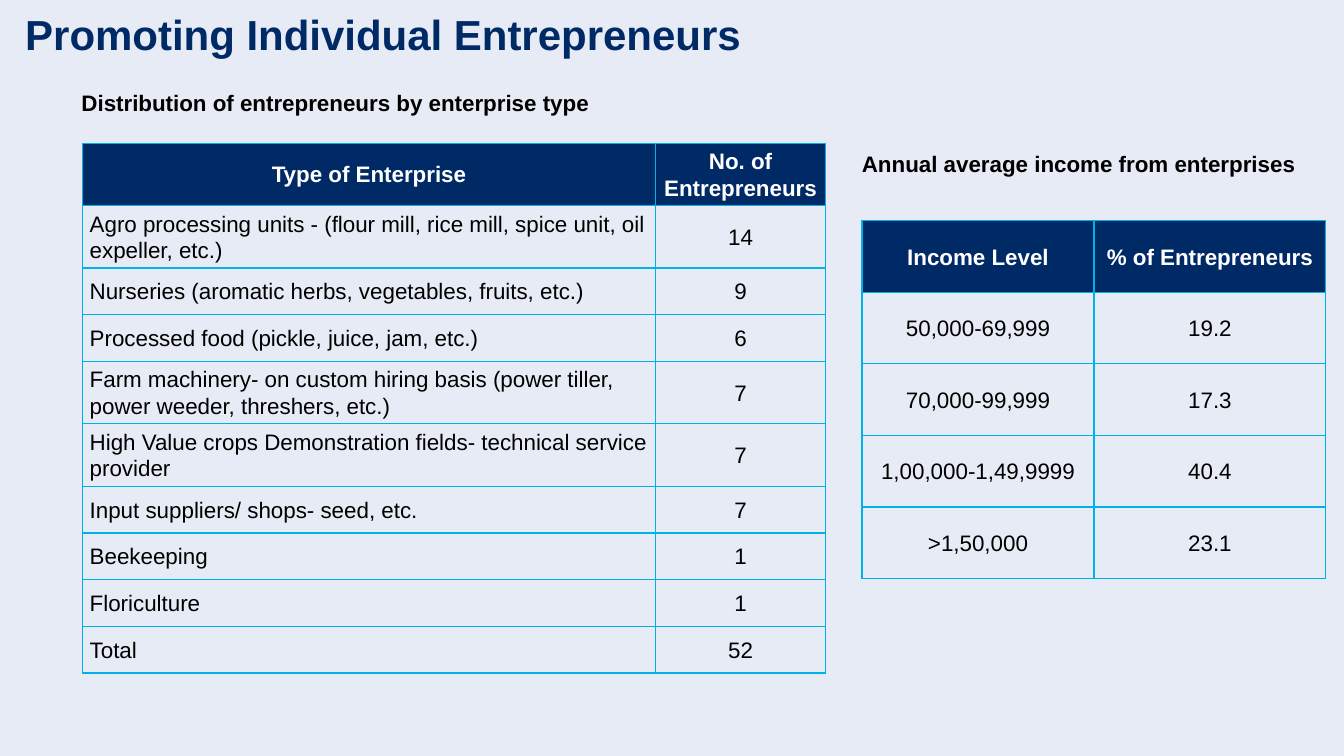
from lxml import etree
from pptx import Presentation
from pptx.dml.color import RGBColor
from pptx.enum.text import MSO_ANCHOR, MSO_AUTO_SIZE, PP_ALIGN
from pptx.oxml.ns import qn
from pptx.util import Inches, Pt

LEFT, MID = PP_ALIGN.LEFT, PP_ALIGN.CENTER
CENTRE = MSO_ANCHOR.MIDDLE
NO_FIT, GROW = MSO_AUTO_SIZE.NONE, MSO_AUTO_SIZE.SHAPE_TO_FIT_TEXT
NAVY = RGBColor(0x00, 0x2A, 0x66)
PALE = RGBColor(0xE6, 0xEB, 0xF5)
CYAN = RGBColor(0x00, 0xB1, 0xE7)
BLACK = RGBColor(0x00, 0x00, 0x00)
WHITE = RGBColor(0xFF, 0xFF, 0xFF)
FONT = "Arial"
UNIT = Inches(0.1)

TYPES = [
    ("Type of Enterprise", "No. of Entrepreneurs"),
    ("Agro processing units - (flour mill, rice mill, spice unit, oil expeller, etc.)", "14"),
    ("Nurseries (aromatic herbs, vegetables, fruits, etc.)", "9"),
    ("Processed food (pickle, juice, jam, etc.)", "6"),
    ("Farm machinery- on custom hiring basis (power tiller, power weeder, threshers, etc.)", "7"),
    ("High Value crops Demonstration fields- technical service provider", "7"),
    ("Input suppliers/ shops- seed, etc.", "7"),
    ("Beekeeping", "1"),
    ("Floriculture", "1"),
    ("Total", "52"),
]
TALL, LOW = 6.2, 4.63
TYPE_ROWS = [TALL, TALL, LOW, LOW, TALL, TALL, LOW, LOW, LOW, LOW]
INCOME = [
    ("Income Level", "% of Entrepreneurs"),
    ("50,000-69,999", "19.2"),
    ("70,000-99,999", "17.3"),
    ("1,00,000-1,49,9999", "40.4"),
    (">1,50,000", "23.1"),
]
INCOME_ROWS = [7.1] * len(INCOME)


def grid(*cells):
    """Turn grid columns and rows into slide lengths."""
    return [round(cell * UNIT) for cell in cells]


def style(frame, text, color, bold, align=LEFT, size=16, space=1.07, after=8):
    """Fill a text frame with one formatted paragraph."""
    frame.text = text
    frame.word_wrap = True
    para = frame.paragraphs[0]
    para.alignment = align
    para.line_spacing = space
    para.space_before = Pt(0)
    para.space_after = Pt(after)
    font = para.runs[0].font
    font.name, font.size, font.bold = FONT, Pt(size), bold
    font.color.rgb = color


def add_title(slide, text):
    """Place and format the title placeholder."""
    title = slide.shapes.title
    title.left, title.top, title.width, title.height = grid(1.2, 0, 108.7, 7.3)
    frame = title.text_frame
    style(frame, text, NAVY, True, size=30, space=0.9, after=0)
    frame.auto_size = NO_FIT
    frame.vertical_anchor = CENTRE
    frame.margin_left = frame.margin_right = Inches(0.13)
    frame.margin_top = frame.margin_bottom = Inches(0.13)


def add_label(slide, text, left, top, width):
    """Add a bold heading above a table."""
    box = slide.shapes.add_textbox(*grid(left, top, width, 3.7))
    style(box.text_frame, text, BLACK, True)
    box.text_frame.auto_size = GROW


def add_edges(cell):
    """Draw a thin line on each side of a cell."""
    props = cell._tc.get_or_add_tcPr()
    for spot, side in enumerate(("a:lnL", "a:lnR", "a:lnT", "a:lnB")):
        line = etree.Element(qn(side), w=str(Pt(1)))
        fill = etree.SubElement(line, qn("a:solidFill"))
        etree.SubElement(fill, qn("a:srgbClr"), val=str(CYAN))
        props.insert(spot, line)


def fill_cell(cell, text, head, align):
    """Write and format one table cell."""
    style(cell.text_frame, text, WHITE if head else BLACK, head, align)
    cell.vertical_anchor = CENTRE
    cell.margin_left = cell.margin_right = Inches(0.07)
    cell.margin_top = cell.margin_bottom = 0
    if head:
        cell.fill.solid()
        cell.fill.fore_color.rgb = NAVY
    else:
        cell.fill.background()
    add_edges(cell)


def add_grid(slide, data, left, top, cols, rows, aligns):
    """Add a table with a dark header row."""
    area = grid(left, top, sum(cols), sum(rows))
    table = slide.shapes.add_table(len(rows), len(cols), *area).table
    table.horz_banding = False
    for col, width in zip(table.columns, grid(*cols)):
        col.width = width
    for row, height in zip(table.rows, grid(*rows)):
        row.height = height
    for r, line in enumerate(data):
        for c, text in enumerate(line):
            fill_cell(table.cell(r, c), text, r == 0, aligns[c] if r else MID)


def main():
    """Build and save the slide."""
    deck = Presentation()
    deck.slide_width, deck.slide_height = Inches(13.33), Inches(7.5)
    slide = deck.slides.add_slide(deck.slide_layouts[5])
    slide.background.fill.solid()
    slide.background.fill.fore_color.rgb = PALE
    add_title(slide, "Promoting Individual Entrepreneurs")
    add_label(slide, "Distribution of entrepreneurs by enterprise type", 7.1, 8.2, 70.7)
    add_grid(slide, TYPES, 8.2, 14.2, [56.8, 16.9], TYPE_ROWS, [LEFT, MID])
    add_grid(slide, INCOME, 85.5, 21.9, [23, 23], INCOME_ROWS, [MID, MID])
    add_label(slide, "Annual average income from enterprises", 84.5, 14.2, 48.8)
    deck.save("out.pptx")


if __name__ == "__main__":
    main()
